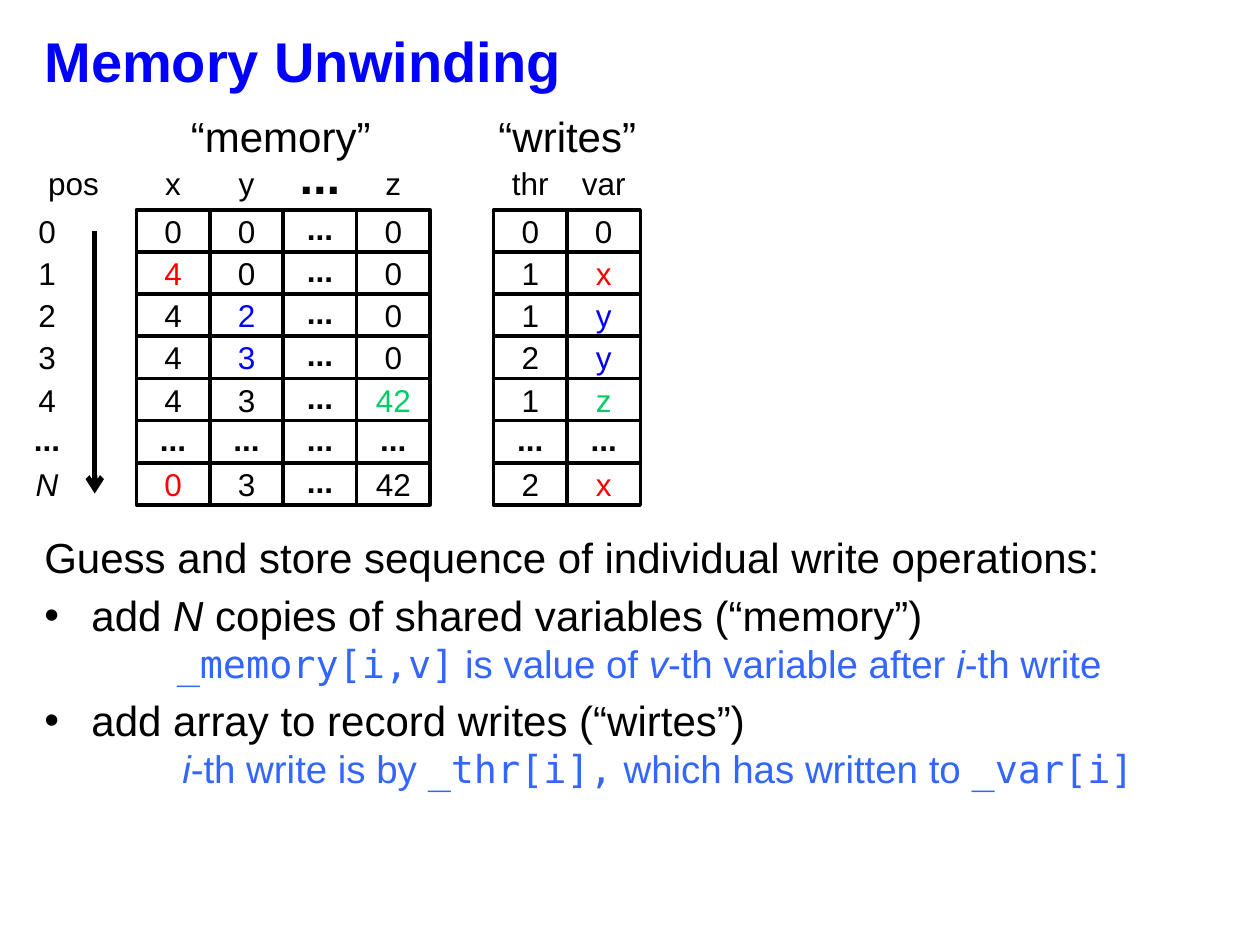
import pptx
import pptx.dml.color
import pptx.enum.shapes
import pptx.enum.text
import pptx.oxml
import pptx.oxml.ns
import pptx.util
from pptx.util import Cm

RGBColor = pptx.dml.color.RGBColor
Anchor = pptx.enum.text.MSO_ANCHOR
Align = pptx.enum.text.PP_ALIGN

BLACK = RGBColor(0x00, 0x00, 0x00)
RED = RGBColor(0xFF, 0x00, 0x00)
BLUE = RGBColor(0x00, 0x00, 0xFF)
GREEN = RGBColor(0x00, 0xCC, 0x66)
LIGHT_BLUE = RGBColor(0x33, 0x66, 0xFF)
SANS, MONO = "Arial", "DejaVu Sans Mono"

# Lengths in centimetres
CELL_WIDTH, CELL_HEIGHT = 1.48, 0.85
GRID_TOP = 4.23
DOTS = "..."

POSITIONS = ["0", "1", "2", "3", "4", DOTS, "N"]
MEMORY = [
    ["0", "0", DOTS, "0"],
    ["4", "0", DOTS, "0"],
    ["4", "2", DOTS, "0"],
    ["4", "3", DOTS, "0"],
    ["4", "3", DOTS, "42"],
    [DOTS, DOTS, DOTS, DOTS],
    ["0", "3", DOTS, "42"],
]
WRITES = [["0", "0"], ["1", "x"], ["1", "y"], ["2", "y"], ["1", "z"],
          [DOTS, DOTS], ["2", "x"]]
# Colours of the written cells, by row and column
MEMORY_COLORS = {(1, 0): RED, (2, 1): BLUE, (3, 1): BLUE, (4, 3): GREEN, (6, 0): RED}
WRITES_COLORS = {(1, 1): RED, (2, 1): BLUE, (3, 1): BLUE, (4, 1): GREEN, (6, 1): RED}

# Explanation: kind, left margin, runs of (text, font, italic)
EXPLANATION = [
    ("lead", 0.95, [("Guess and store sequence of individual write operations:", SANS, False)]),
    ("bullet", 0.95, [("add ", SANS, False), ("N", SANS, True),
                      (" copies of shared variables (“memory”)", SANS, False)]),
    ("detail", 2.67, [("_memory[i,v]", MONO, False), (" is value of ", SANS, False),
                      ("v", SANS, True), ("-th variable after ", SANS, False),
                      ("i", SANS, True), ("-th write", SANS, False)]),
    ("bullet", 0.95, [("add array to record writes (“wirtes”)", SANS, False)]),
    ("detail", 2.78, [("i", SANS, True), ("-th write is by ", SANS, False),
                      ("_thr[i],", MONO, False), (" which has written to ", SANS, False),
                      ("_var[i]", MONO, False)]),
]


def format_font(font, size, color, name=SANS, bold=False, italic=False):
    font.size = pptx.util.Pt(size)
    font.color.rgb = color
    font.name = name
    font.bold = bold
    font.italic = italic


def place(shape, box):
    shape.left, shape.top, shape.width, shape.height = (Cm(length) for length in box)


def add_label(slide, box, text, color=BLACK, size=18, anchor=Anchor.MIDDLE,
              bordered=False, wrap=True):
    lengths = [Cm(length) for length in box]
    if bordered:
        shape = slide.shapes.add_shape(pptx.enum.shapes.MSO_SHAPE.RECTANGLE, *lengths)
        shape.shadow.inherit = False
        shape.fill.background()
        shape.line.color.rgb = BLACK
        shape.line.width = pptx.util.Pt(2)
    else:
        shape = slide.shapes.add_textbox(*lengths)
    frame = shape.text_frame
    frame.text = text
    frame.word_wrap = wrap
    frame.vertical_anchor = anchor
    if text == DOTS:
        frame.margin_top = 0
    paragraph = frame.paragraphs[0]
    paragraph.alignment = Align.CENTER if wrap else Align.LEFT
    format_font(paragraph.runs[0].font, size, color, bold=text == DOTS, italic=text == "N")


def add_grid(slide, left, top, rows, colors, bordered=True):
    for row, texts in enumerate(rows):
        for column, text in enumerate(texts):
            box = (left + column * CELL_WIDTH, top + row * CELL_HEIGHT,
                   CELL_WIDTH, CELL_HEIGHT)
            add_label(slide, box, text, colors.get((row, column), BLACK), bordered=bordered)


def add_headers(slide, left, top, names):
    for column, name in enumerate(names):
        x = left + column * CELL_WIDTH
        if name == DOTS:
            add_label(slide, (x, top + 0.21, CELL_WIDTH, CELL_HEIGHT), name,
                      size=28, anchor=Anchor.BOTTOM)
        else:
            add_label(slide, (x, top, CELL_WIDTH, CELL_HEIGHT), name, anchor=Anchor.TOP)


def add_array(slide, left, top, caption, caption_box, names, rows, colors):
    """A captioned grid; the caption box holds offset, width."""
    offset, width = caption_box
    add_label(slide, (left + offset, top - 2.12, width, 1.27), caption,
              size=24, anchor=Anchor.TOP, wrap=False)
    add_headers(slide, left, top - 1.05, names)
    add_grid(slide, left, top, rows, colors)


def add_position_axis(slide, left, top):
    add_label(slide, (left + 0.43, top - 1.05, 1.69, CELL_HEIGHT), "pos", anchor=Anchor.TOP)
    add_grid(slide, left, top, [[position] for position in POSITIONS], {}, bordered=False)
    # Downward arrow
    x = Cm(left + 1.7)
    arrow = slide.shapes.add_connector(pptx.enum.shapes.MSO_CONNECTOR.STRAIGHT,
                                       x, Cm(top + 0.43), x, Cm(top + 5.72))
    arrow.line.color.rgb = BLACK
    arrow.line.width = pptx.util.Pt(3)
    tail = pptx.oxml.ns.qn("a:tailEnd")
    arrow.line._get_or_add_ln().makeelement(tail)
    pptx.oxml.xmlchemy.OxmlElement("a:tailEnd")
    end = pptx.oxml.xmlchemy.OxmlElement("a:tailEnd")
    end.set("type", "arrow")
    arrow.line._get_or_add_ln().append(end)
    arrow._element.spPr.append(pptx.oxml.xmlchemy.OxmlElement("a:effectLst"))


def fill_title(slide, box):
    title = slide.shapes.title
    place(title, box)
    frame = title.text_frame
    frame.text = "Memory Unwinding"
    frame.vertical_anchor = Anchor.MIDDLE
    frame.paragraphs[0].alignment = Align.LEFT
    format_font(frame.paragraphs[0].runs[0].font, 32, BLUE, bold=True)


def fill_explanation(slide, box):
    body = slide.placeholders[1]
    place(body, box)
    frame = body.text_frame
    frame.auto_size = pptx.enum.text.MSO_AUTO_SIZE.NONE
    for index, (kind, margin, runs) in enumerate(EXPLANATION):
        paragraph = frame.add_paragraph() if index else frame.paragraphs[0]
        detail = kind == "detail"
        if detail:
            paragraph.level = 1
            paragraph.space_before = pptx.util.Pt(0)
        for text, name, italic in runs:
            run = paragraph.add_run()
            run.text = text
            format_font(run.font, 22 if detail else 24,
                        LIGHT_BLUE if detail else BLACK, name, italic=italic)
        # Indents and bullets
        properties = paragraph._p.get_or_add_pPr()
        properties.set("marL", str(Cm(margin)))
        properties.set("indent", str(0 if detail else -Cm(margin)))
        bullet = pptx.oxml.xmlchemy.OxmlElement("a:buChar" if kind == "bullet" else "a:buNone")
        if kind == "bullet":
            bullet.set("char", "•")
        properties.append(bullet)


def main():
    presentation = pptx.Presentation()
    presentation.slide_width, presentation.slide_height = Cm(25.4), Cm(19.05)
    slide = presentation.slides.add_slide(presentation.slide_layouts[1])
    fill_title(slide, (0.64, 0.21, 24.55, 2.01))
    add_position_axis(slide, 0.21, GRID_TOP)
    add_array(slide, 2.75, GRID_TOP, "“memory”", (0.85, 4.19),
              ["x", "y", DOTS, "z"], MEMORY, MEMORY_COLORS)
    add_array(slide, 9.95, GRID_TOP, "“writes”", (-0.15, 3.33),
              ["thr", "var"], WRITES, WRITES_COLORS)
    fill_explanation(slide, (0.64, 10.58, 25.19, 8.47))
    presentation.save("out.pptx")


if __name__ == "__main__":
    main()
